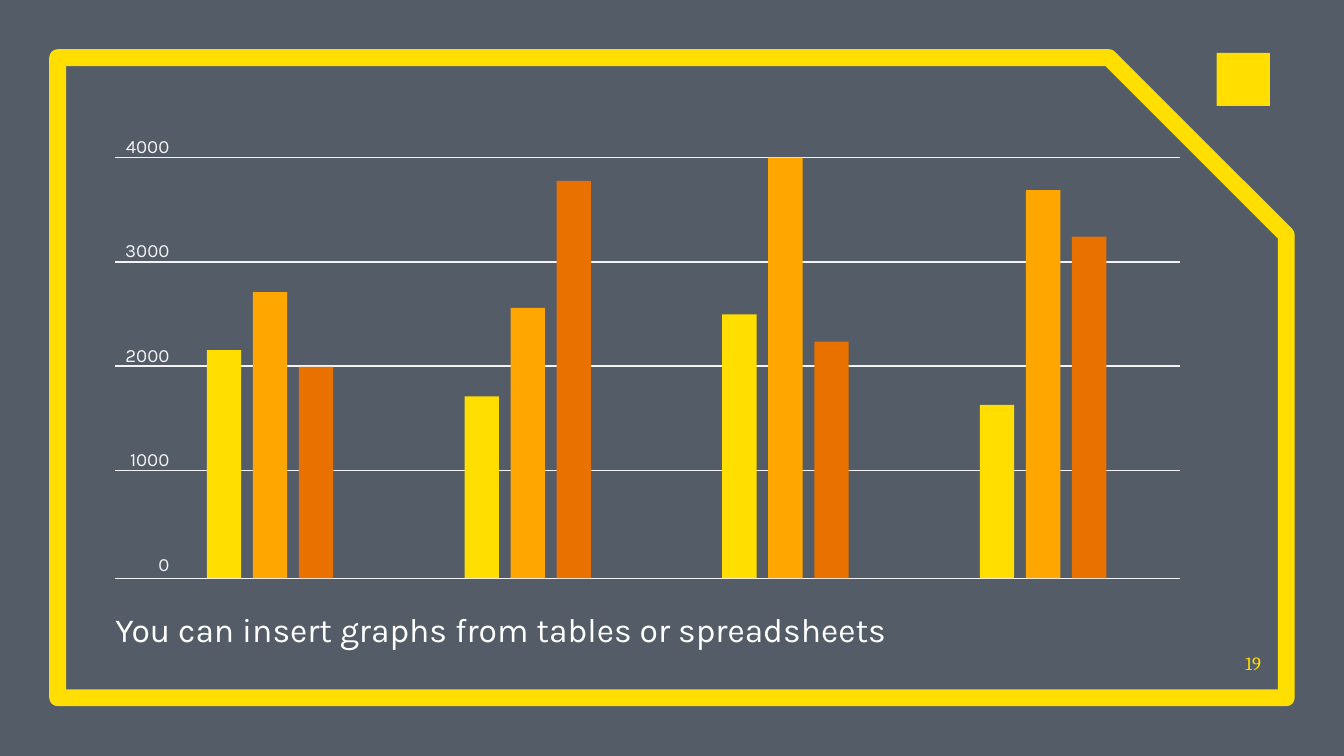
from lxml import etree
from pptx import Presentation
from pptx.dml.color import RGBColor
from pptx.enum.shapes import MSO_CONNECTOR as CONN, MSO_SHAPE as SHAPE
from pptx.enum.text import MSO_ANCHOR as ANCHOR, PP_ALIGN as ALIGN
from pptx.oxml.ns import qn
from pptx.util import Cm, Pt

COLORS = {
    "back": "545C67",
    "yellow": "FFDE00",
    "amber": "FFA700",
    "orange": "E97100",
    "grid": "F3F3F3",
    "white": "FFFFFF",
}


def rgb(name):
    return RGBColor.from_string(COLORS[name])


class Painter:
    """Holds the slide and draws styled elements; lengths are in cm."""

    def __init__(self, slide):
        self.slide = slide
        self.shapes = slide.shapes

    def background(self, color):
        fill = self.slide.background.fill
        fill.solid()
        fill.fore_color.rgb = rgb(color)

    def shape(self, kind, x, y, w, h, fill=None, line=None, width=0):
        sp = self.shapes.add_shape(kind, Cm(x), Cm(y), Cm(w), Cm(h))
        self.paint(sp, fill)
        if line:
            sp.line.color.rgb = rgb(line)
            sp.line.width = Pt(width)
        return sp

    def paint(self, sp, fill):
        sp.shadow.inherit = False
        sp.line.fill.background()
        if fill:
            sp.fill.solid()
            sp.fill.fore_color.rgb = rgb(fill)
        else:
            sp.fill.background()

    def line(self, x1, x2, y, color, width=0.75):
        ln = self.shapes.add_connector(CONN.STRAIGHT, Cm(x1), Cm(y), Cm(x2), Cm(y))
        ln.line.color.rgb = rgb(color)
        ln.line.width = Pt(width)
        etree.SubElement(ln._element.spPr, qn("a:effectLst"))

    def text(self, x, y, w, h, lines, size, color, font="Karla", align=ALIGN.LEFT,
             anchor=ANCHOR.TOP, gap=0, spacing=None):
        tf = self.shapes.add_textbox(Cm(x), Cm(y), Cm(w), Cm(h)).text_frame
        tf.word_wrap = True
        tf.vertical_anchor = anchor
        tf.margin_left = tf.margin_right = tf.margin_top = tf.margin_bottom = 0
        for i, line in enumerate(lines):
            p = tf.add_paragraph() if i else tf.paragraphs[0]
            p.alignment = align
            if i and gap:
                p.space_before = Pt(gap)
            if spacing:
                p.line_spacing = spacing
            r = p.add_run()
            r.text = line
            r.font.name = font
            r.font.size = Pt(size)
            r.font.color.rgb = rgb(color)

    def outlines(self, polygons, fill):
        group = self.shapes.add_group_shape()
        for first, *rest in polygons:
            builder = group.shapes.build_freeform(*first, scale=float(Cm(1)))
            builder.add_line_segments(rest, close=True)
            self.paint(builder.convert_to_shape(), fill)


def icon_axes(x, y, right, bottom, t=0.08, c=0.03):
    """L-shaped axes of thickness t with corners cut by c."""
    return [(x + c, y), (x, y + c), (x, bottom - c), (x + c, bottom),
            (right - c, bottom), (right, bottom - c), (right, bottom - t + c),
            (right - c, bottom - t), (x + t, bottom - t), (x + t, y + c), (x + t - c, y)]


def icon_bar(x, y, bottom, w=0.25, c=0.03):
    """Bar with its two top corners cut by c."""
    return [(x + c, y), (x, y + c), (x, bottom), (x + w, bottom),
            (x + w, y + c), (x + w - c, y)]


def main():
    prs = Presentation()
    prs.slide_width, prs.slide_height = Cm(25.4), Cm(14.29)
    s = Painter(prs.slides.add_slide(prs.slide_layouts[6]))

    # Background and frame
    s.background("back")
    frame = s.shape(SHAPE.SNIP_1_RECTANGLE, 1.09, 1.09, 23.22, 12.1,
                    line="yellow", width=9)
    frame.adjustments[0] = 0.277

    # Caption and slide number
    s.text(2.18, 11.4, 21.03, 0.91,
           ["You can insert graphs from tables or spreadsheets"],
           18, "white", spacing=1.15)
    s.text(23.14, 12.04, 0.69, 0.71, ["19"], 10, "yellow",
           font="Cambria", align=ALIGN.RIGHT, anchor=ANCHOR.BOTTOM)

    # Chart icon
    tops = [1.47, 0.99, 1.22, 1.47]
    bars = [icon_bar(23.17 + 0.29 * i, top, 1.89) for i, top in enumerate(tops)]
    s.outlines([icon_axes(23, 0.94, 24.47, 2.02), *bars], "yellow")

    # Grid lines and axis labels
    base, top = 10.93, 2.98
    for y in [top + 1.97 * i for i in range(4)] + [base]:
        s.line(2.18, 22.3, y, "grid")
    s.text(2.18, 2.54, 1.02, 8.41, [str(v) for v in range(4000, -1, -1000)],
           10, "grid", align=ALIGN.RIGHT, gap=44)

    # Bars: four groups of three series
    groups = [(2170, 2720, 2010), (1730, 2570, 3780),
              (2510, 4000, 2250), (1650, 3690, 3250)]
    for g, values in enumerate(groups):
        for i, (value, color) in enumerate(zip(values, ("yellow", "amber", "orange"))):
            height = (base - top) * value / 4000
            s.shape(SHAPE.RECTANGLE, 3.91 + 4.87 * g + 0.87 * i, base - height,
                    0.65, height, fill=color)

    prs.save("out.pptx")


if __name__ == "__main__":
    main()
